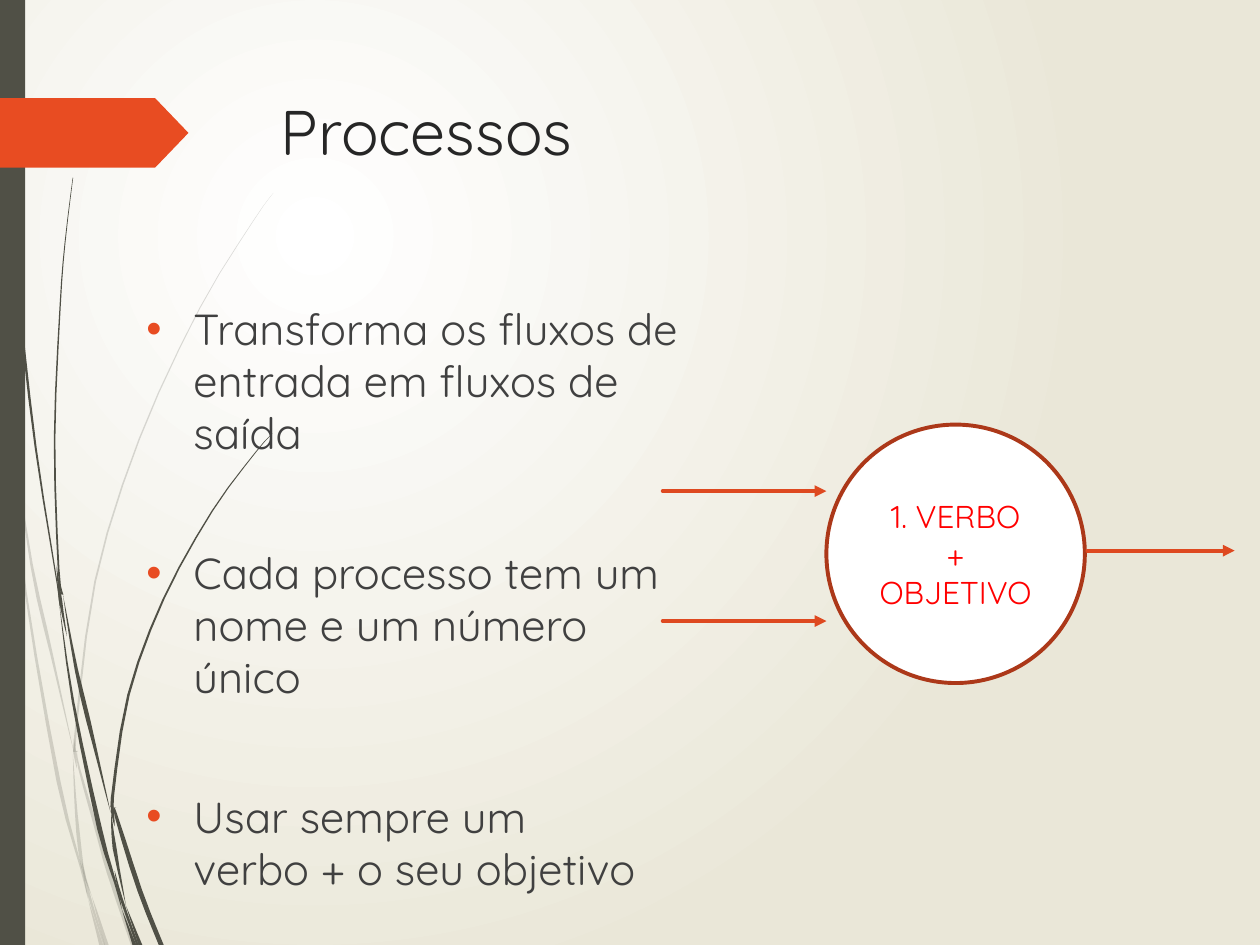
from lxml.etree import SubElement
from pptx import Presentation
from pptx.dml.color import RGBColor
from pptx.enum.shapes import MSO_CONNECTOR, MSO_SHAPE
from pptx.enum.text import MSO_ANCHOR, PP_ALIGN
from pptx.oxml.ns import qn
from pptx.util import Cm, Pt

COLORS = {
    "paper": "FFFFFF", "sand": "EAE7D8", "olive": "505046", "tag": "E84C22",
    "title": "262626", "body": "404040", "rim": "AC3819", "flow": "DE4920",
    "process": "FF0000",
}
FONT = "Quicksand"

# Grass blades: widths at tip, middle and root, then the centre line,
# in cm from the corner of their box
PALE_BLADES = [
    ((0.05, 0.08, 0), [(0, 7.2), (0.09, 8.1), (0.19, 8.89)]),
    ((0, 0.08, 0), [(0.25, 8.76), (0.64, 11.4), (1.05, 13.23), (1.5, 15.21)]),
    ((0, 0.08, 0.1), [(1.55, 15.14), (1.6, 15.5), (2, 16.9), (2.2, 17.6), (2.69, 19.05)]),
    ((0, 0.05, 0.08), [(1.85, 18.06), (2.15, 19.05)]),
    ((0, 0.08, 0), [(0.2, 8.89), (0.52, 11.94), (1.18, 15.75), (1.63, 17.48), (1.78, 18.14)]),
    ((0, 0.04, 0.08), [(1.78, 18.14), (2.04, 19.05)]),
    ((0, 0.08, 0), [(1.47, 15.21), (1.54, 16.41), (1.66, 17.46), (1.85, 18.06)]),
    ((0, 0.03, 0.05), [(5.51, 3.89), (5.11, 4.45), (4.03, 6.21), (2.81, 8.85),
                       (1.92, 11.72), (1.52, 14.83), (1.55, 15.14)]),
    ((0, 0.06, 0), [(1.49, 14.88), (1.51, 15.19), (1.55, 15.49)]),
    ((0, 0.06, 0.03), [(1.65, 17.35), (1.77, 17.96), (2.1, 19.05)]),
]
DARK_BLADES = [
    ((0.02, 0.05, 0), [(0.06, 0), (0.14, 2.78), (0.37, 5.9), (0.72, 9.02),
                       (1.16, 11.8), (1.19, 12.22)]),
    ((0, 0.1, 0), [(1.19, 12.12), (1.47, 14.13), (2.01, 16.71), (2.32, 17.78), (2.46, 18.34)]),
    ((0, 0.04, 0.08), [(2.46, 18.34), (2.71, 19.05)]),
    ((0.01, 0.03, 0.04), [(1.47, 3.58), (1.31, 4.9), (1.21, 6.22), (1.1, 8.86),
                          (1.18, 11.46), (1.26, 11.99)]),
    ((0, 0.07, 0), [(1.14, 11.4), (1.22, 12.1), (1.35, 12.83)]),
    ((0, 0.1, 0), [(1.27, 11.99), (1.54, 13.5), (1.9, 15.01), (2.23, 16.38)]),
    ((0, 0.1, 0.1), [(2.31, 16.28), (2.36, 16.51), (2.82, 17.96), (3.25, 19.05)]),
    ((0.01, 0.04, 0.07), [(5.49, 8.74), (5.16, 9.11), (4.28, 10.3), (3.3, 12.07),
                          (2.59, 14.01), (2.27, 16.05), (2.31, 16.28)]),
    ((0, 0.07, 0), [(2.24, 16.03), (2.27, 16.35), (2.31, 16.66)]),
    ((0, 0.08, 0), [(2.24, 16.38), (2.31, 17.1), (2.54, 18.26)]),
    ((0, 0.04, 0.08), [(2.54, 18.26), (2.83, 19.05)]),
    ((0, 0.06, 0.05), [(2.31, 17.55), (2.44, 18.1), (2.77, 19.05)]),
]
BULLETS = [
    "Transforma os fluxos de entrada em fluxos de saída",
    "Cada processo tem um nome e um número único",
    "Usar sempre um\vverbo + o seu objetivo",
]


def rgb(name):
    return RGBColor.from_string(COLORS[name])


def style(shape, fill, line=None):
    shape.shadow.inherit = False
    shape.fill.solid()
    shape.fill.fore_color.rgb = rgb(fill)
    if line:
        shape.line.color.rgb = rgb(line)
        shape.line.width = Pt(2.25)
    else:
        shape.line.fill.background()


def set_font(paragraph, size, color):
    paragraph.font.name = FONT
    paragraph.font.size = Pt(size)
    paragraph.font.color.rgb = rgb(color)


def paint_background(slide):
    fill = slide.background.fill
    fill.gradient()
    for stop, color in zip(fill.gradient_stops, ("paper", "sand")):
        stop.color.rgb = rgb(color)
    # Turn the linear gradient into a circular one
    gradient = slide.element.find(".//" + qn("a:gradFill"))
    gradient.remove(gradient.find(qn("a:lin")))
    circle = SubElement(gradient, qn("a:path"), path="circle")
    SubElement(circle, qn("a:fillToRect"), l="50000", t="50000", r="100000", b="100000")


def smooth_curve(points, steps=3):
    """Catmull-Rom curve through the points."""
    padded = [points[0], *points, points[-1]]
    curve = []
    for a, b, c, d in zip(padded, padded[1:], padded[2:], padded[3:]):
        for t in (step / steps for step in range(steps)):
            curve.append(tuple(
                q + t * (r - p) / 2 + t**2 * (2 * p - 5 * q + 4 * r - s) / 2
                + t**3 * (3 * q - p - 3 * r + s) / 2
                for p, q, r, s in zip(a, b, c, d)))
    return curve + [points[-1]]


def add_blade(slide, left, top, widths, points, alpha=None):
    tip, middle, root = widths
    curve = smooth_curve(points)
    left_edge, right_edge = [], []
    for i, (x, y) in enumerate(curve):
        t = 2 * i / (len(curve) - 1)
        width = tip + (middle - tip) * t if t < 1 else middle + (root - middle) * (t - 1)
        left_edge.append((Cm(left + max(0, x - width / 2)), Cm(top + y)))
        right_edge.append((Cm(left + x + width / 2), Cm(top + y)))
    outline = left_edge + right_edge[::-1]
    builder = slide.shapes.build_freeform(*outline[0])
    builder.add_line_segments(outline[1:], close=True)
    blade = builder.convert_to_shape()
    style(blade, "olive")
    if alpha:
        color = blade._element.spPr.find(".//" + qn("a:srgbClr"))
        SubElement(color, qn("a:alpha"), val=str(alpha * 1000))


def add_side_decor(slide, left, top, height):
    for blades, alpha in ((PALE_BLADES, 20), (DARK_BLADES, None)):
        for widths, points in blades:
            add_blade(slide, left, top, widths, points, alpha)
    # Edge band and title tag
    band = slide.shapes.add_shape(
        MSO_SHAPE.RECTANGLE, Cm(left), Cm(top), Cm(0.51), Cm(height))
    style(band, "olive")
    tag = slide.shapes.add_shape(
        MSO_SHAPE.PENTAGON, Cm(left), Cm(top + 1.98), Cm(3.8), Cm(1.4))
    tag.adjustments[0] = 0.48
    style(tag, "tag")


def add_text_frame(slide, left, top, width, height):
    frame = slide.shapes.add_textbox(Cm(left), Cm(top), Cm(width), Cm(height)).text_frame
    frame.word_wrap = True
    return frame


def add_title(slide, left, top, width, height):
    title = add_text_frame(slide, left, top, width, height).paragraphs[0]
    title.text = "Processos"
    set_font(title, 36, "title")


def add_bullets(slide, left, top, width, height):
    frame = add_text_frame(slide, left, top, width, height)
    for i, text in enumerate(BULLETS):
        item = frame.add_paragraph() if i else frame.paragraphs[0]
        item.text = text
        item.space_before = Pt(50 if i else 0)
        set_font(item, 24.8, "body")
        properties = item._p.get_or_add_pPr()
        properties.set("marL", str(Cm(0.95)))
        properties.set("indent", str(-Cm(0.95)))
        bullet_color = SubElement(properties, qn("a:buClr"))
        SubElement(bullet_color, qn("a:srgbClr"), val=COLORS["tag"])
        SubElement(properties, qn("a:buFont"), typeface="Arial")
        SubElement(properties, qn("a:buChar"), char="•")
        # The default run properties come last in the schema
        properties.append(properties.find(qn("a:defRPr")))


def add_flow(slide, start, end, y):
    flow = slide.shapes.add_connector(
        MSO_CONNECTOR.STRAIGHT, Cm(start), Cm(y), Cm(end), Cm(y))
    flow.line.color.rgb = rgb("flow")
    flow.line.width = Pt(2.25)
    outline = flow.line._get_or_add_ln()
    outline.set("cap", "rnd")
    SubElement(outline, qn("a:tailEnd"), type="triangle")
    SubElement(flow._element.spPr, qn("a:effectLst"))


def add_process_diagram(slide, left, top, diameter):
    process = slide.shapes.add_shape(
        MSO_SHAPE.OVAL, Cm(left), Cm(top), Cm(diameter), Cm(diameter))
    style(process, "paper", line="rim")
    frame = process.text_frame
    frame.margin_left = frame.margin_right = 0
    frame.vertical_anchor = MSO_ANCHOR.MIDDLE
    frame.text = "1. VERBO\n+\nOBJETIVO"
    for line in frame.paragraphs:
        line.alignment = PP_ALIGN.CENTER
        set_font(line, 18, "process")
    # One flow out, two flows in
    right = left + diameter
    add_flow(slide, right + 0.05, right + 3.02, top + 2.54)
    for drop in (3.96, 1.34):
        add_flow(slide, left - 3.3, left, top + drop)


def main():
    deck = Presentation()
    deck.slide_width, deck.slide_height = Cm(25.4), Cm(19.05)
    slide = deck.slides.add_slide(deck.slide_layouts[6])
    paint_background(slide)
    add_side_decor(slide, 0, 0, 19.05)
    add_title(slide, 5.41, 1.74, 18.31, 3.56)
    add_bullets(slide, 2.7, 5.97, 11.58, 10.46)
    add_process_diagram(slide, 16.66, 8.56, 5.21)
    deck.save("out.pptx")


if __name__ == "__main__":
    main()
